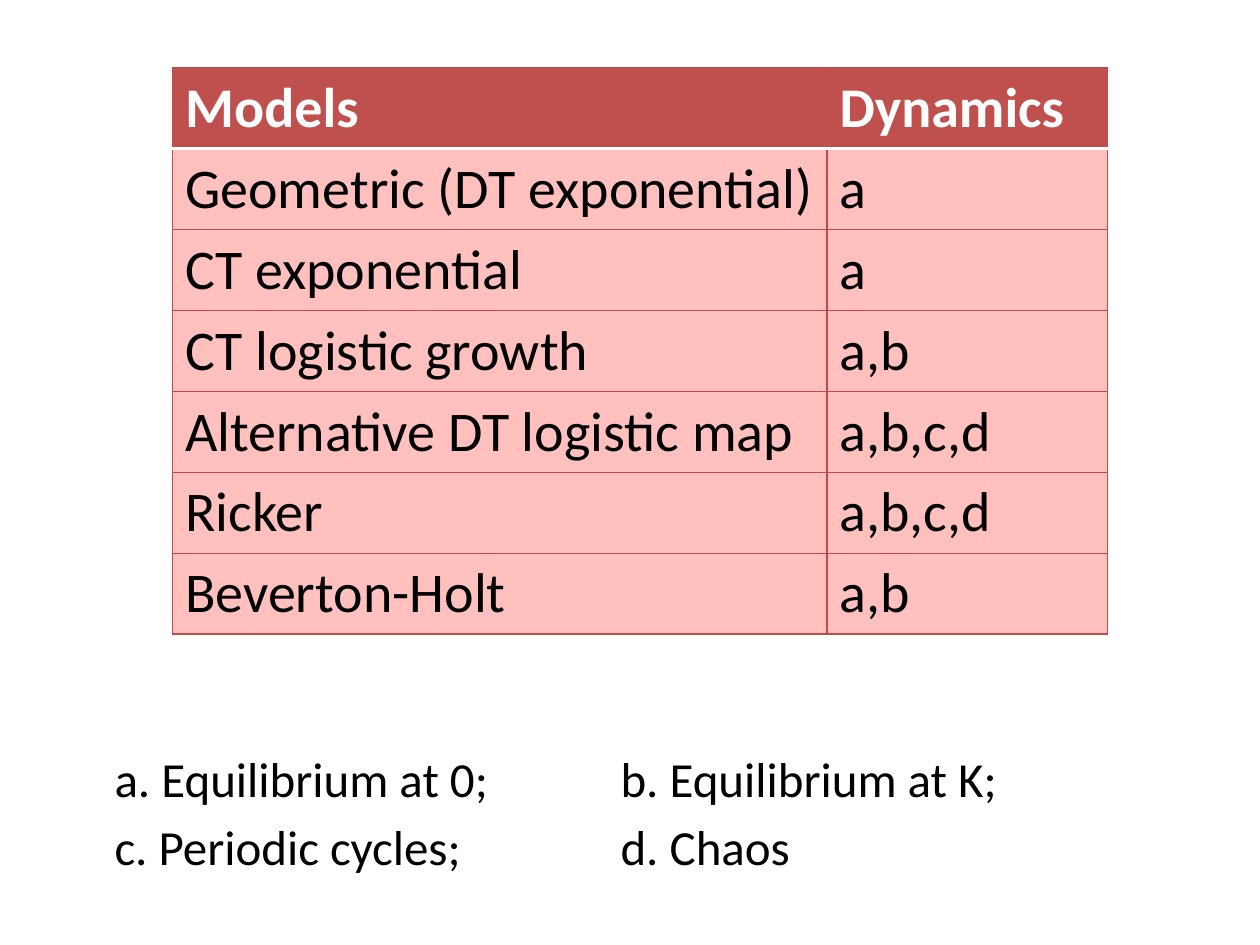
"""Build a slide that lists population models and their dynamics."""
from lxml.etree import SubElement as Sub
from pptx import Presentation
from pptx.dml.color import RGBColor as Rgb
from pptx.oxml.ns import qn
from pptx.util import Cm, Pt

ROWS = [
    ("Models", "Dynamics"),
    ("Geometric (DT exponential)", "a"),
    ("CT exponential", "a"),
    ("CT logistic growth", "a,b"),
    ("Alternative DT logistic map", "a,b,c,d"),
    ("Ricker", "a,b,c,d"),
    ("Beverton-Holt", "a,b"),
]
KEYS = [
    "a. Equilibrium at 0;\tb. Equilibrium at K;",
    "c. Periodic cycles;\td. Chaos",
]
WIDTHS = [13.19, 5.65]
ROW_H = 1.63
RED, PINK, EDGE = "C0504D", "FFC0BE", "BF4C48"
WHITE, BLACK = "FFFFFF", "000000"


def tint(code):
    return Rgb.from_string(code)


def write(para, text, size=32, color=BLACK, bold=False, tab=None, gap=None):
    if tab:
        stops = Sub(para._p.get_or_add_pPr(), qn("a:tabLst"))
        Sub(stops, qn("a:tab"), pos=str(Cm(tab)), algn="l")
    if gap:
        para.space_before = Pt(gap)
    run = para.add_run()
    run.text = text
    font = run.font
    font.name, font.size, font.bold = "Calibri", Pt(size), bold
    font.color.rgb = tint(color)


def edge(cell, side, color, width):
    line = Sub(cell._tc.get_or_add_tcPr(), qn(f"a:ln{side}"), w=str(Pt(width)))
    Sub(Sub(line, qn("a:solidFill")), qn("a:srgbClr"), val=color)


def add_grid(slide):
    frame = slide.shapes.add_table(
        len(ROWS), len(WIDTHS), Cm(3.48), Cm(1.37),
        Cm(sum(WIDTHS)), Cm(ROW_H * len(ROWS)))
    grid = frame.table
    grid.first_row = grid.horz_banding = False
    for col, width in zip(grid.columns, WIDTHS):
        col.width = Cm(width)
    for i, row in enumerate(ROWS):
        grid.rows[i].height = Cm(ROW_H)
        head = i == 0
        for j, text in enumerate(row):
            cell = grid.cell(i, j)
            for side in "LRTB":
                split = (i, side) in [(0, "B"), (1, "T")]
                edge(cell, side, *((WHITE, 2) if split else (EDGE, 0.75)))
            cell.fill.solid()
            cell.fill.fore_color.rgb = tint(RED if head else PINK)
            write(cell.text_frame.paragraphs[0], text,
                  color=WHITE if head else BLACK, bold=head)


def add_keys(slide):
    box = slide.shapes.add_textbox(Cm(2.06), Cm(14.96), Cm(22.5), Cm(3.2))
    frame = box.text_frame
    frame.word_wrap = True
    for i, text in enumerate(KEYS):
        para = frame.add_paragraph() if i else frame.paragraphs[0]
        write(para, text, size=28, tab=10.2, gap=5.6 if i else None)


def main():
    deck = Presentation()
    deck.slide_width, deck.slide_height = Cm(25.4), Cm(19.05)
    slide = deck.slides.add_slide(deck.slide_layouts[6])
    add_keys(slide)
    add_grid(slide)
    deck.save("out.pptx")


if __name__ == "__main__":
    main()
